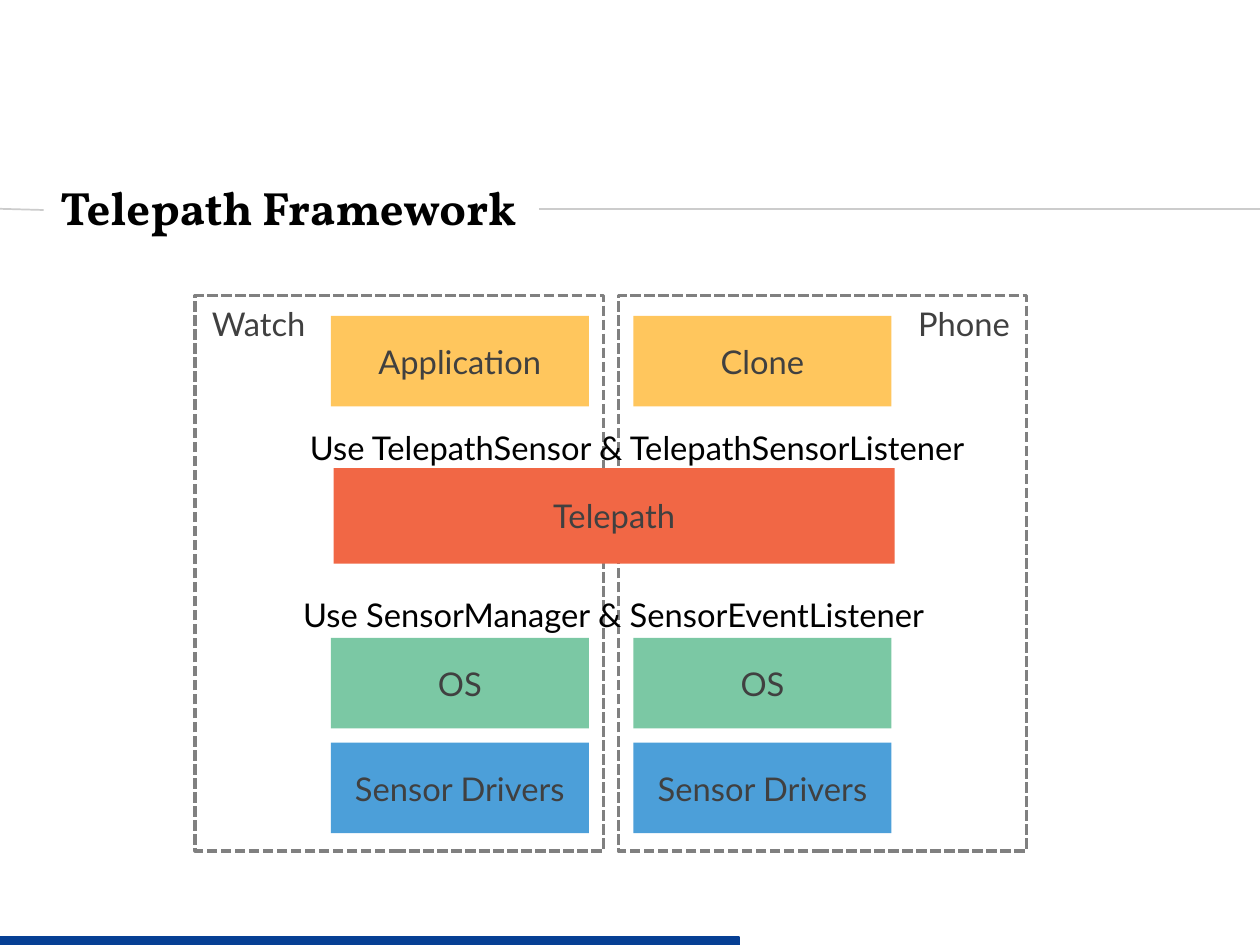
from lxml import etree
from pptx import Presentation
from pptx.dml.color import RGBColor
from pptx.enum.dml import MSO_LINE
from pptx.enum.shapes import MSO_CONNECTOR, MSO_SHAPE
from pptx.enum.text import MSO_ANCHOR, PP_ALIGN
from pptx.oxml.ns import qn
from pptx.util import Pt

COLORS = {
    "rule": "CCCCCC", "frame": "808080", "label": "404040", "black": "000000",
    "app": "FFC65D", "telepath": "F16745", "os": "7BC8A4", "drivers": "4C9FD9",
    "track": "FFFFFF", "progress": "063F94",
}
LABEL_FORMAT = {"name": "Lato", "size": Pt(14), "bold": False}
TITLE_FORMAT = {"name": "Vollkorn", "size": Pt(20), "bold": True}

SLIDE_WIDTH, SLIDE_HEIGHT = 540, 405
FRAME_TOP, FRAME_WIDTH, FRAME_HEIGHT = 126.7, 175, 238
COLUMN_LEFTS = (141.8, 271.5)
LAYER_WIDTH, LAYER_HEIGHT = 110.6, 38.8


def color(key):
    return RGBColor.from_string(COLORS[key])


def write(shape, text, ink, font_format, align, anchor):
    frame = shape.text_frame
    frame.word_wrap = True
    frame.vertical_anchor = anchor
    paragraph = frame.paragraphs[0]
    paragraph.alignment = align
    run = paragraph.add_run()
    run.text = text
    for attribute, value in font_format.items():
        setattr(run.font, attribute, value)
    run.font.color.rgb = color(ink)
    return frame


def add_box(slide, box, fill=None, line=None, line_width=1):
    shape = slide.shapes.add_shape(MSO_SHAPE.RECTANGLE, *map(Pt, box))
    shape.shadow.inherit = False
    if fill:
        shape.fill.solid()
        shape.fill.fore_color.rgb = color(fill)
    else:
        shape.fill.background()
    if line:
        shape.line.color.rgb = color(line)
        shape.line.width = Pt(line_width)
    else:
        shape.line.fill.background()
    return shape


def add_device(slide, left, name, align):
    """Dashed frame with the device name in its top corner."""
    device = add_box(slide, (left, FRAME_TOP, FRAME_WIDTH, FRAME_HEIGHT),
                     line="frame", line_width=1.5)
    device.line.dash_style = MSO_LINE.SQUARE_DOT
    write(device, name, "label", LABEL_FORMAT, align, MSO_ANCHOR.TOP)


def add_layer(slide, box, name, fill):
    layer = add_box(slide, box, fill)
    write(layer, name, "label", LABEL_FORMAT, PP_ALIGN.CENTER, MSO_ANCHOR.MIDDLE)


def add_caption(slide, box, text):
    caption = slide.shapes.add_textbox(*map(Pt, box))
    write(caption, text, "black", LABEL_FORMAT, PP_ALIGN.CENTER, MSO_ANCHOR.TOP)


def add_title(slide, text):
    title = slide.shapes.add_textbox(Pt(18.7), Pt(72.7), Pt(448.5), Pt(35))
    frame = write(title, text, "black", TITLE_FORMAT, PP_ALIGN.LEFT, MSO_ANCHOR.MIDDLE)
    frame.paragraphs[0].line_spacing = 0.9
    for side in ("left", "top", "right", "bottom"):
        setattr(frame, f"margin_{side}", Pt(7.2))


def add_rule(slide, *ends):
    rule = slide.shapes.add_connector(MSO_CONNECTOR.STRAIGHT, *map(Pt, ends))
    rule.line.color.rgb = color("rule")
    rule.line.width = Pt(0.75)
    etree.SubElement(rule._element.spPr, qn("a:effectLst"))


def main():
    presentation = Presentation()
    presentation.slide_width = Pt(SLIDE_WIDTH)
    presentation.slide_height = Pt(SLIDE_HEIGHT)
    slide = presentation.slides.add_slide(presentation.slide_layouts[6])

    add_title(slide, "Telepath Framework")
    add_rule(slide, 0, 89.5, 18.7, 90)
    add_rule(slide, 231, 89.5, SLIDE_WIDTH, 89.5)

    add_device(slide, 83.7, "Watch", PP_ALIGN.LEFT)
    add_device(slide, 265, "Phone", PP_ALIGN.RIGHT)

    layers = (
        (135.4, ("Application", "Clone"), "app"),
        (273.4, ("OS", "OS"), "os"),
        (318.3, ("Sensor Drivers", "Sensor Drivers"), "drivers"),
    )
    for top, names, fill in layers:
        for left, name in zip(COLUMN_LEFTS, names):
            add_layer(slide, (left, top, LAYER_WIDTH, LAYER_HEIGHT), name, fill)

    add_caption(slide, (108.7, 180, 329, 24.2),
                "Use TelepathSensor & TelepathSensorListener")
    add_layer(slide, (143, 200.6, 240.4, 41), "Telepath", "telepath")
    add_caption(slide, (97.6, 251.5, 331, 24.2),
                "Use SensorManager & SensorEventListener")

    for width, fill in ((SLIDE_WIDTH, "track"), (316.7, "progress")):
        add_box(slide, (0, 401.6, width, 3.4), fill, fill)

    presentation.save("out.pptx")


if __name__ == "__main__":
    main()
